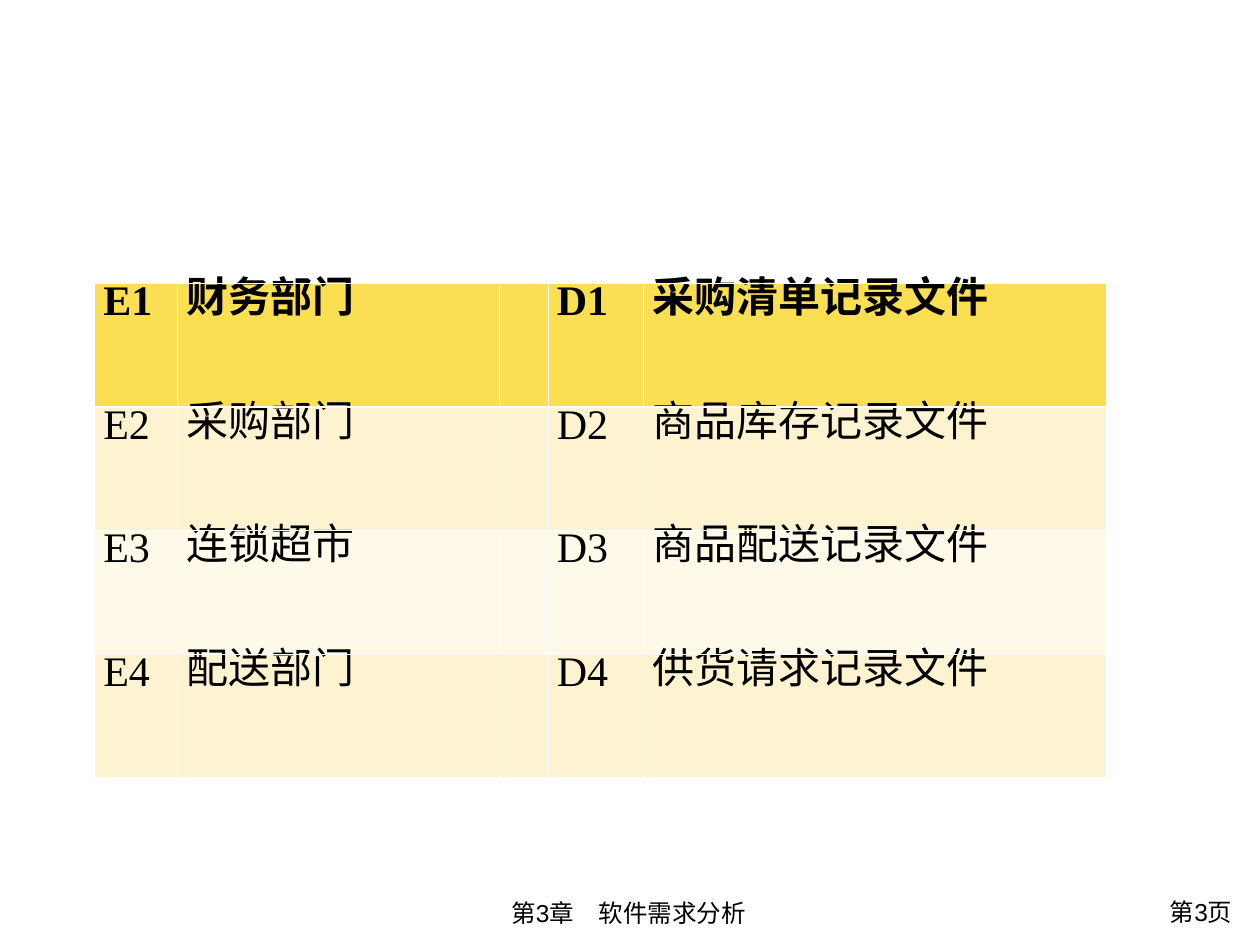
from pptx import Presentation, util as u
from pptx.dml.color import RGBColor
from pptx.enum import text
from pptx.oxml import parse_xml
from pptx.oxml.ns import nsdecls

ROWS = [
    ("E1", "财务部门", "", "D1", "采购清单记录文件"),
    ("E2", "采购部门", "", "D2", "商品库存记录文件"),
    ("E3", "连锁超市", "", "D3", "商品配送记录文件"),
    ("E4", "配送部门", "", "D4", "供货请求记录文件"),
]
COLS = (0.66, 2.55, 0.39, 0.76, 3.67)
ROW_H = 0.98
LEFT, TOP = 0.75, 2.25
FOOTERS = [
    ("第3章　软件需求分析", (2.35, 7.08, 5.28, 0.34), text.PP_ALIGN.CENTER),
    ("第3页", (8.54, 7.07, 1.34, 0.37), text.PP_ALIGN.RIGHT),
]
COLORS = {"text": "000000", "line": "FFFFFF", "header": "FBDF53",
          "odd": "FDF3D1", "even": "FEF9E9"}
THIN, THICK = 0.45, 1.47


def rgb(name):
    return RGBColor.from_string(COLORS[name])


def add_run(p, words, font, size, bold=False):
    r = p.add_run()
    r.text = words
    r.font.name, r.font.size, r.font.bold = font, u.Pt(size), bold
    r.font.color.rgb = rgb("text")


def set_borders(cell, top, bottom):
    """Draw the four cell borders; they must precede the fill in tcPr."""
    widths = {"lnL": THIN, "lnR": THIN, "lnT": top, "lnB": bottom}
    for i, (tag, width) in enumerate(widths.items()):
        cell._tc.get_or_add_tcPr().insert(i, parse_xml(
            f'<a:{tag} {nsdecls("a")} w="{u.Pt(width)}"><a:solidFill>'
            f'<a:srgbClr val="{COLORS["line"]}"/></a:solidFill></a:{tag}>'))


def fill_cell(cell, words, row):
    cell.fill.solid()
    cell.fill.fore_color.rgb = rgb(
        "header" if row == 0 else "odd" if row % 2 else "even")
    set_borders(cell, THICK if row == 1 else THIN, THICK if row == 0 else THIN)
    cell.margin_left = cell.margin_right = u.Inches(0.07)
    if words:
        p = cell.text_frame.paragraphs[0]
        p.line_spacing, p.space_after = u.Pt(20), u.Pt(3.6)
        add_run(p, words, "Times New Roman", 24, bold=row == 0)


prs = Presentation()
prs.slide_width, prs.slide_height = u.Inches(10), u.Inches(7.5)
s = prs.slides.add_slide(prs.slide_layouts[6])

for words, box, align in FOOTERS:
    tf = s.shapes.add_textbox(*map(u.Inches, box)).text_frame
    tf.word_wrap = True
    p = tf.paragraphs[0]
    p.alignment = align
    add_run(p, words, "Arial", 14)

table = s.shapes.add_table(
    len(ROWS), len(COLS), u.Inches(LEFT), u.Inches(TOP),
    u.Inches(sum(COLS)), u.Inches(ROW_H * len(ROWS))).table
for column, width in zip(table.columns, COLS):
    column.width = u.Inches(width)
for i, row in enumerate(ROWS):
    table.rows[i].height = u.Inches(ROW_H)
    for j, words in enumerate(row):
        fill_cell(table.cell(i, j), words, i)

prs.save("out.pptx")
